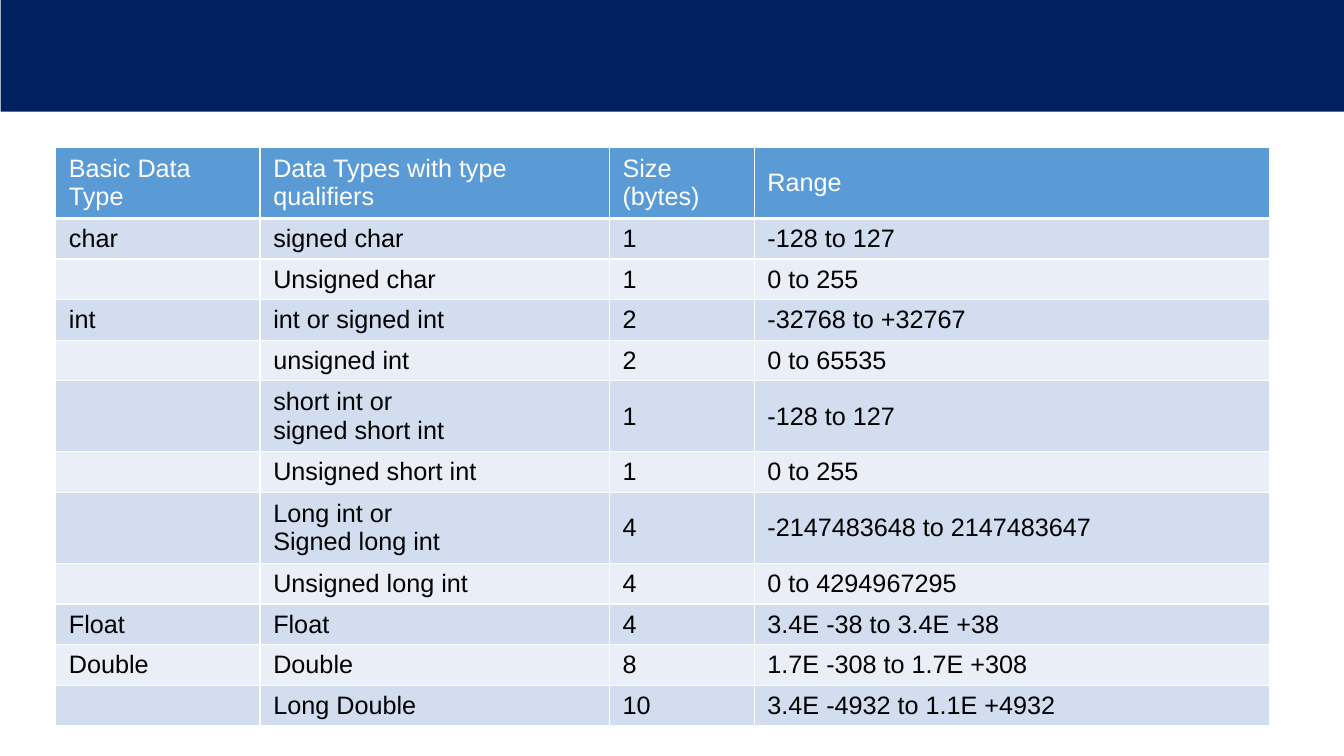
from dataclasses import dataclass

from lxml.etree import SubElement
from pptx import Presentation
from pptx.dml.color import RGBColor
from pptx.enum.shapes import MSO_SHAPE as Shape
from pptx.enum.text import MSO_ANCHOR as Anchor
from pptx.oxml.ns import qn
from pptx.util import Pt


@dataclass(frozen=True)
class Theme:
    font: str = "Arial"
    text_size: float = 18
    banner: str = "002060"
    header_fill: str = "5B9BD5"
    header_text: str = "FFFFFF"
    body_text: str = "000000"
    bands: tuple = ("D2DEEF", "EAEFF7")
    rule: str = "FFFFFF"
    thin_rule: float = 1
    thick_rule: float = 3


THEME = Theme()

COLUMN_WIDTHS = (146, 249.5, 103.5, 368.5)
LINE_HEIGHTS = {1: 29, 2: 50.75}
HEADINGS = ("Basic Data Type", "Data Types with type qualifiers", "Size\n(bytes)", "Range")
DATA_TYPES = (
    ("char", "signed char", "1", "-128 to 127"),
    ("", "Unsigned char", "1", "0 to 255"),
    ("int", "int or signed int", "2", "-32768 to +32767"),
    ("", "unsigned int", "2", "0 to 65535"),
    ("", "short int or\nsigned short int", "1", "-128 to 127"),
    ("", "Unsigned short int", "1", "0 to 255"),
    ("", "Long int or\nSigned long int", "4", "-2147483648 to 2147483647"),
    ("", "Unsigned long int", "4", "0 to 4294967295"),
    ("Float", "Float", "4", "3.4E -38 to 3.4E +38"),
    ("Double", "Double", "8", "1.7E -308 to 1.7E +308"),
    ("", "Long Double", "10", "3.4E -4932 to 1.1E +4932"),
)


def add_banner(slide, left, top, width, height):
    banner = slide.shapes.add_shape(Shape.RECTANGLE, Pt(left), Pt(top), Pt(width), Pt(height))
    banner.shadow.inherit = False
    banner.fill.solid()
    banner.fill.fore_color.rgb = RGBColor.from_string(THEME.banner)
    banner.line.fill.background()


def rule_cell(cell, bottom_width):
    """Border lines must come before the fill in the cell properties."""
    properties = cell._tc.get_or_add_tcPr()
    widths = {"L": THEME.thin_rule, "R": THEME.thin_rule, "T": THEME.thin_rule, "B": bottom_width}
    for position, (side, width) in enumerate(widths.items()):
        line = SubElement(properties, qn(f"a:ln{side}"), w=str(Pt(width)))
        SubElement(SubElement(line, qn("a:solidFill")), qn("a:srgbClr"), val=THEME.rule)
        properties.insert(position, line)


def fill_cell(cell, text, fill, color, bottom_width):
    cell.text = text
    cell.vertical_anchor = Anchor.MIDDLE
    cell.margin_left = cell.margin_right = Pt(9.5)
    cell.margin_top = cell.margin_bottom = Pt(3.6)
    for paragraph in cell.text_frame.paragraphs:
        paragraph.font.name = THEME.font
        paragraph.font.size = Pt(THEME.text_size)
        paragraph.font.bold = False
        paragraph.font.color.rgb = RGBColor.from_string(color)
    cell.fill.solid()
    cell.fill.fore_color.rgb = RGBColor.from_string(fill)
    rule_cell(cell, bottom_width)


def add_type_table(slide, left, top):
    rows = (HEADINGS, *DATA_TYPES)
    # The narrow heading always takes two lines, so line breaks give each height
    heights = [LINE_HEIGHTS[1 + max(text.count("\n") for text in row)] for row in rows]
    table = slide.shapes.add_table(
        len(rows), len(COLUMN_WIDTHS), Pt(left), Pt(top),
        Pt(sum(COLUMN_WIDTHS)), Pt(sum(heights)),
    ).table
    for column, width in zip(table.columns, COLUMN_WIDTHS):
        column.width = Pt(width)
    for index, (texts, height) in enumerate(zip(rows, heights)):
        table.rows[index].height = Pt(height)
        if index == 0:
            look = THEME.header_fill, THEME.header_text, THEME.thick_rule
        else:
            look = THEME.bands[(index - 1) % 2], THEME.body_text, THEME.thin_rule
        for cell, text in zip(table.rows[index].cells, texts):
            fill_cell(cell, text, *look)


def main():
    deck = Presentation()
    deck.slide_width, deck.slide_height = Pt(960), Pt(540)
    slide = deck.slides.add_slide(deck.slide_layouts[6])

    # Data type table
    add_type_table(slide, left=39.75, top=105.25)

    # Top banner
    add_banner(slide, left=0.5, top=0, width=960, height=79.75)

    deck.save("out.pptx")


if __name__ == "__main__":
    main()
